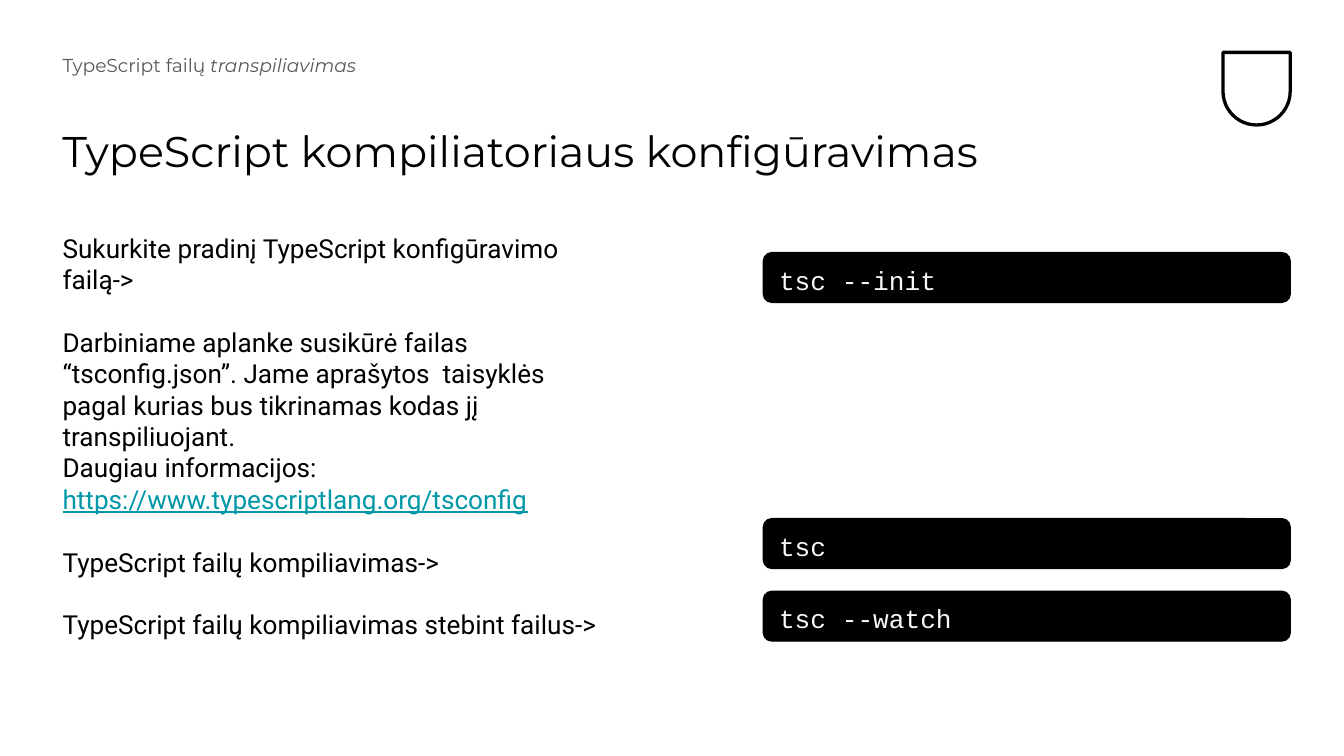
import pptx
import pptx.util
import pptx.dml.color
import pptx.enum.shapes
import pptx.enum.text
from dataclasses import dataclass

Inches = pptx.util.Inches
Pt = pptx.util.Pt
Shape = pptx.enum.shapes.MSO_SHAPE
Anchor = pptx.enum.text.MSO_ANCHOR


@dataclass(frozen=True)
class Theme:
    ink: str = "000000"
    paper: str = "FFFFFF"
    muted: str = "595959"
    link: str = "0097A7"
    code: str = "F8F8F8"
    head: str = "Montserrat"
    body: str = "Roboto"
    mono: str = "Courier New"
    small: float = 10
    text: float = 14
    large: float = 23
    gap: float = 16.8


theme = Theme()


def color(value):
    return pptx.dml.color.RGBColor.from_string(value)


def style(run, font, size, tint):
    run.font.name = font
    run.font.size = Pt(size)
    run.font.color.rgb = color(tint)


def add_frame(slide, box):
    frame = slide.shapes.add_textbox(*map(Inches, box)).text_frame
    frame.word_wrap = True
    frame.margin_left = frame.margin_right = Inches(0.3) // 4
    frame.margin_top = frame.margin_bottom = Inches(0.15) // 4
    return frame


def add_topic(slide, box, plain, slanted):
    para = add_frame(slide, box).paragraphs[0]
    para.line_spacing = 0.9
    for words, italic in ((plain, False), (slanted, True)):
        run = para.add_run()
        run.text = words
        style(run, theme.head, theme.small, theme.muted)
        run.font.italic = italic


def add_title(slide, box, words):
    frame = add_frame(slide, box)
    frame.text = words
    para = frame.paragraphs[0]
    para.line_spacing = 0.9
    style(para.runs[0], theme.head, theme.large, theme.ink)


def add_steps(slide, box, groups):
    frame = add_frame(slide, box)
    frame.text = "\n".join(line for group in groups for line in group)
    paras = iter(frame.paragraphs)
    for index, group in enumerate(groups):
        for place, line in enumerate(group):
            para = next(paras)
            para.space_before = Pt(theme.gap if index and not place else 0)
            link = line.startswith("https:")
            style(para.runs[0], theme.body, theme.text,
                  theme.link if link else theme.ink)
            para.runs[0].font.underline = link


def add_code(slide, box, words):
    bar = slide.shapes.add_shape(Shape.ROUNDED_RECTANGLE, *map(Inches, box))
    bar.shadow.inherit = False
    bar.adjustments[0] = 0.17
    bar.fill.solid()
    bar.fill.fore_color.rgb = color(theme.ink)
    bar.line.color.rgb = color(theme.ink)
    bar.line.width = Pt(0.75)
    frame = bar.text_frame
    frame.word_wrap = True
    frame.vertical_anchor = Anchor.MIDDLE
    frame.margin_left = frame.margin_right = Inches(0.1)
    frame.margin_top = frame.margin_bottom = Inches(0.1)
    frame.text = words
    para = frame.paragraphs[0]
    para.alignment = pptx.enum.text.PP_ALIGN.LEFT
    para.line_spacing = 1.15
    style(para.runs[0], theme.mono, theme.text, theme.code)


def add_badge(slide, box):
    badge = slide.shapes.add_shape(
        Shape.ROUND_2_SAME_RECTANGLE, *map(Inches, box))
    badge.shadow.inherit = False
    badge.adjustments[0] = 0
    badge.adjustments[1] = 0.5
    badge.fill.solid()
    badge.fill.fore_color.rgb = color(theme.paper)
    badge.line.color.rgb = color(theme.ink)
    badge.line.width = Pt(1.75)


def main():
    deck = pptx.Presentation()
    deck.slide_width = Inches(10)
    deck.slide_height = Inches(10) * 9 // 16
    slide = deck.slides.add_slide(deck.slide_layouts[6])

    add_badge(slide, (9.1, 0.39, 0.5, 0.54))
    add_title(slide, (0.39, 0.93, 8.43, 0.45),
              "TypeScript kompiliatoriaus konfigūravimas")
    add_topic(slide, (0.39, 0.38, 4.61, 0.37),
              "TypeScript failų ", "transpiliavimas")
    add_steps(slide, (0.39, 1.69, 4.22, 3.64), (
        ("Sukurkite pradinį TypeScript konfigūravimo failą->",),
        ("Darbiniame aplanke susikūrė failas “tsconfig.json”. Jame aprašytos"
         "  taisyklės pagal kurias bus tikrinamas kodas jį transpiliuojant.",
         "Daugiau informacijos:",
         "https://www.typescriptlang.org/tsconfig"),
        ("TypeScript failų kompiliavimas->",),
        ("TypeScript failų kompiliavimas stebint failus->",),
    ))
    for top, words in ((1.88, "tsc --init"), (4.4, "tsc --watch"),
                       (3.86, "tsc")):
        add_code(slide, (5.68, top, 3.92, 0.37), words)

    deck.save("out.pptx")


if __name__ == "__main__":
    main()
